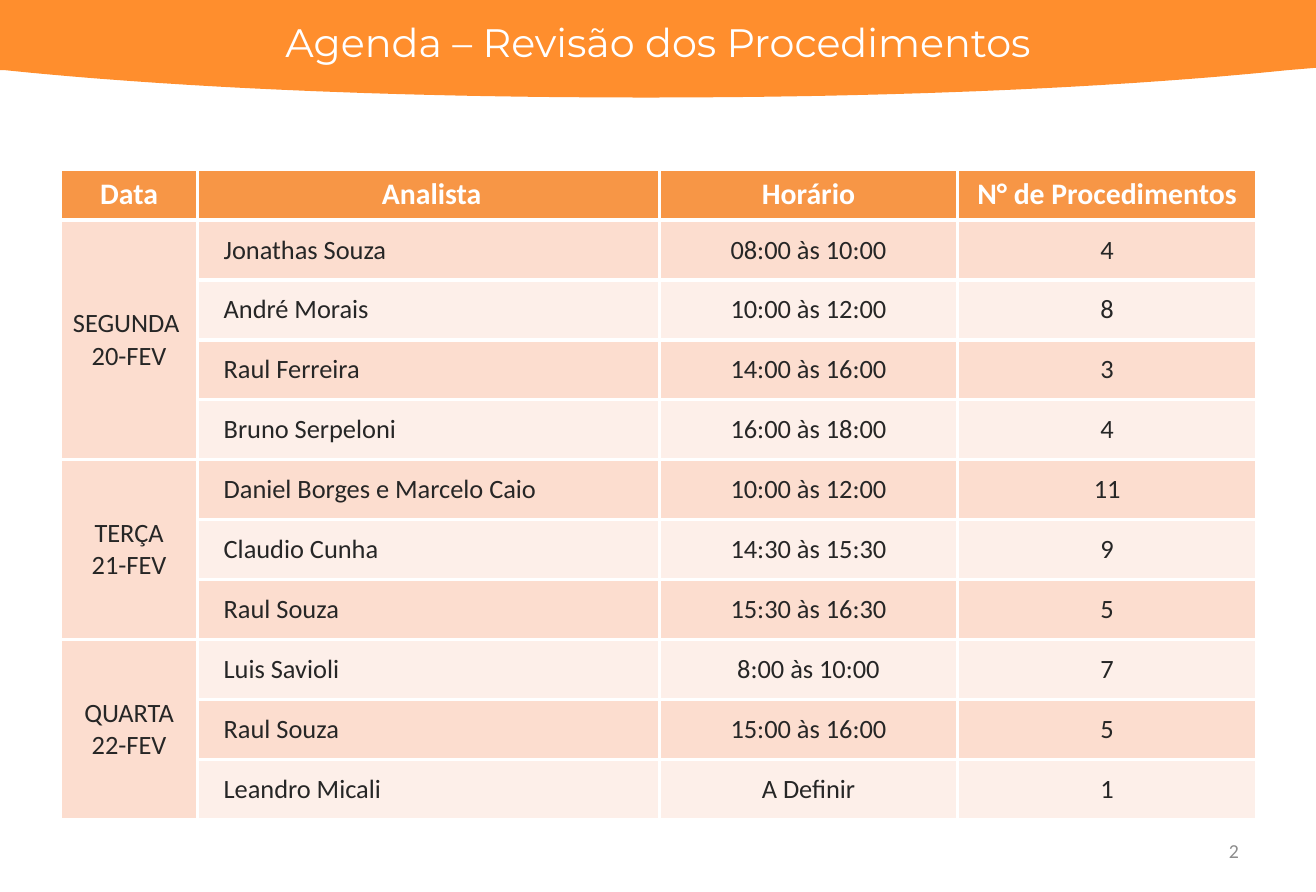
from lxml import etree
from pptx import Presentation
from pptx import util as u
from pptx.dml.color import RGBColor
from pptx.enum import text
from pptx.oxml import ns

TITLE = "Agenda – Revisão dos Procedimentos"
PAGE_NUMBER = "2"
HEADERS = ["Data", " Analista", "Horário", "N° de Procedimentos"]
DAYS = [
    ("SEGUNDA \n20-FEV", [
        ("Jonathas Souza", "08:00 às 10:00", "4"),
        ("André Morais", "10:00 às 12:00", "8"),
        ("Raul Ferreira", "14:00 às 16:00", "3"),
        ("Bruno Serpeloni", "16:00 às 18:00", "4"),
    ]),
    ("TERÇA\n21-FEV", [
        ("Daniel Borges e Marcelo Caio", "10:00 às 12:00", "11"),
        ("Claudio Cunha", "14:30 às 15:30", "9"),
        ("Raul Souza", "15:30 às 16:30", "5"),
    ]),
    ("QUARTA\n22-FEV", [
        ("Luis Savioli", "8:00 às 10:00", "7"),
        ("Raul Souza", "15:00 às 16:00", "5"),
        ("Leandro Micali", "A Definir", "1"),
    ]),
]

WIDTH, HEIGHT = 11.06, 7.5
COLUMN_WIDTHS = [1.15, 3.88, 2.51, 2.51]
TABLE_LEFT, TABLE_TOP, TABLE_HEIGHT = 0.51, 1.42, 5.47
HEADER_HEIGHT = 0.43
NAME_INDENT = 0.12
ORANGE, HEADER_FILL, WHITE = "FF8E2D", "F79646", "FFFFFF"
BANDS = ["FCDDCF", "FDEFE9"]
TITLE_FONT = {"name": "Montserrat", "size": 24, "color": WHITE}
NUMBER_FONT = {"name": "Calibri", "size": 12, "color": "8C8C8C"}
HEADER_FONT = {"name": "Calibri", "size": 18, "color": WHITE, "bold": True}
BODY_FONT = {"name": "Calibri", "size": 16, "color": "262626", "bold": False}
CENTER, LEFT, RIGHT = text.PP_ALIGN.CENTER, text.PP_ALIGN.LEFT, text.PP_ALIGN.RIGHT

# Lower edge of the banner, as two joined cubic curves from right to left
BANNER_CURVES = [
    [(10.82, 0.59), (9.36, 0.74), (7.48, 0.82), (5.43, 0.82)],
    [(5.43, 0.82), (3.38, 0.82), (1.5, 0.74), (0.04, 0.59)],
]
CURVE_STEPS = 40


def paint(target, color):
    """Give a fill or a font one solid colour."""
    if hasattr(target, "solid"):
        target.solid()
        target.fore_color.rgb = RGBColor.from_string(color)
    else:
        target.color.rgb = RGBColor.from_string(color)


def write(frame, words, font, align):
    frame.text = words
    for para in frame.paragraphs:
        para.alignment = align
        for span in para.runs:
            for key, value in font.items():
                if key == "color":
                    paint(span.font, value)
                else:
                    setattr(span.font, key, u.Pt(value) if key == "size" else value)


def add_text(page, place, words, font, align, anchor):
    box = page.shapes.add_textbox(*map(u.Inches, place))
    box.text_frame.word_wrap = True
    box.text_frame.vertical_anchor = anchor
    write(box.text_frame, words, font, align)


def curve_point(points, t):
    """Point at t on a cubic Bezier curve."""
    weights = [(1 - t) ** 3, 3 * t * (1 - t) ** 2, 3 * t * t * (1 - t), t ** 3]
    return tuple(sum(w * p[axis] for w, p in zip(weights, points)) for axis in (0, 1))


def add_banner(page):
    outline = [(WIDTH, 0), (WIDTH, 0.57)]
    for curve in BANNER_CURVES:
        outline += [curve_point(curve, i / CURVE_STEPS) for i in range(CURVE_STEPS + 1)]
    outline.append((0, 0.59))
    builder = page.shapes.build_freeform(0, 0)
    builder.add_line_segments([(u.Inches(x), u.Inches(y)) for x, y in outline], close=True)
    banner = builder.convert_to_shape()
    banner.shadow.inherit = False
    banner.line.fill.background()
    paint(banner.fill, ORANGE)


def add_borders(cell, color, points):
    properties = cell._tc.get_or_add_tcPr()
    for side in ("a:lnL", "a:lnR", "a:lnT", "a:lnB"):
        line = etree.SubElement(properties, ns.qn(side), w=str(u.Pt(points)))
        solid = etree.SubElement(line, ns.qn("a:solidFill"))
        etree.SubElement(solid, ns.qn("a:srgbClr"), val=color)


def fill_cell(cell, words, font, align, color):
    cell.vertical_anchor = text.MSO_ANCHOR.MIDDLE
    add_borders(cell, WHITE, 2.25)
    paint(cell.fill, color)
    write(cell.text_frame, words, font, align)


def add_agenda(page):
    row_count = sum(len(slots) for _, slots in DAYS)
    frame = page.shapes.add_table(
        row_count + 1, len(HEADERS), u.Inches(TABLE_LEFT), u.Inches(TABLE_TOP),
        u.Inches(sum(COLUMN_WIDTHS)), u.Inches(TABLE_HEIGHT))
    table = frame.table
    for column, width in zip(table.columns, COLUMN_WIDTHS):
        column.width = u.Inches(width)
    body_height = (TABLE_HEIGHT - HEADER_HEIGHT) / row_count
    for index, row in enumerate(table.rows):
        row.height = u.Inches(body_height if index else HEADER_HEIGHT)

    for column, header in enumerate(HEADERS):
        fill_cell(table.cell(0, column), header, HEADER_FONT, CENTER, HEADER_FILL)
    top = 1
    for day, slots in DAYS:
        for row, slot in enumerate(slots, top):
            fill_cell(table.cell(row, 0), day if row == top else "", BODY_FONT, CENTER, BANDS[0])
            for column, words in enumerate(slot, 1):
                align = LEFT if column == 1 else CENTER
                fill_cell(table.cell(row, column), words, BODY_FONT, align, BANDS[(row - 1) % 2])
            name = table.cell(row, 1).text_frame.paragraphs[0]
            name._p.get_or_add_pPr().set("marL", str(u.Inches(NAME_INDENT)))
        last = top + len(slots) - 1
        table.cell(top, 0).merge(table.cell(last, 0))
        top = last + 1


def main():
    deck = Presentation()
    deck.slide_width, deck.slide_height = u.Inches(WIDTH), u.Inches(HEIGHT)
    page = deck.slides.add_slide(deck.slide_layouts[6])
    add_banner(page)
    add_text(page, (0.56, 0.1, 9.94, 0.5), TITLE, TITLE_FONT, CENTER, text.MSO_ANCHOR.TOP)
    add_text(page, (7.93, 6.95, 2.58, 0.4), PAGE_NUMBER, NUMBER_FONT, RIGHT,
             text.MSO_ANCHOR.MIDDLE)
    add_agenda(page)
    deck.save("out.pptx")


if __name__ == "__main__":
    main()
